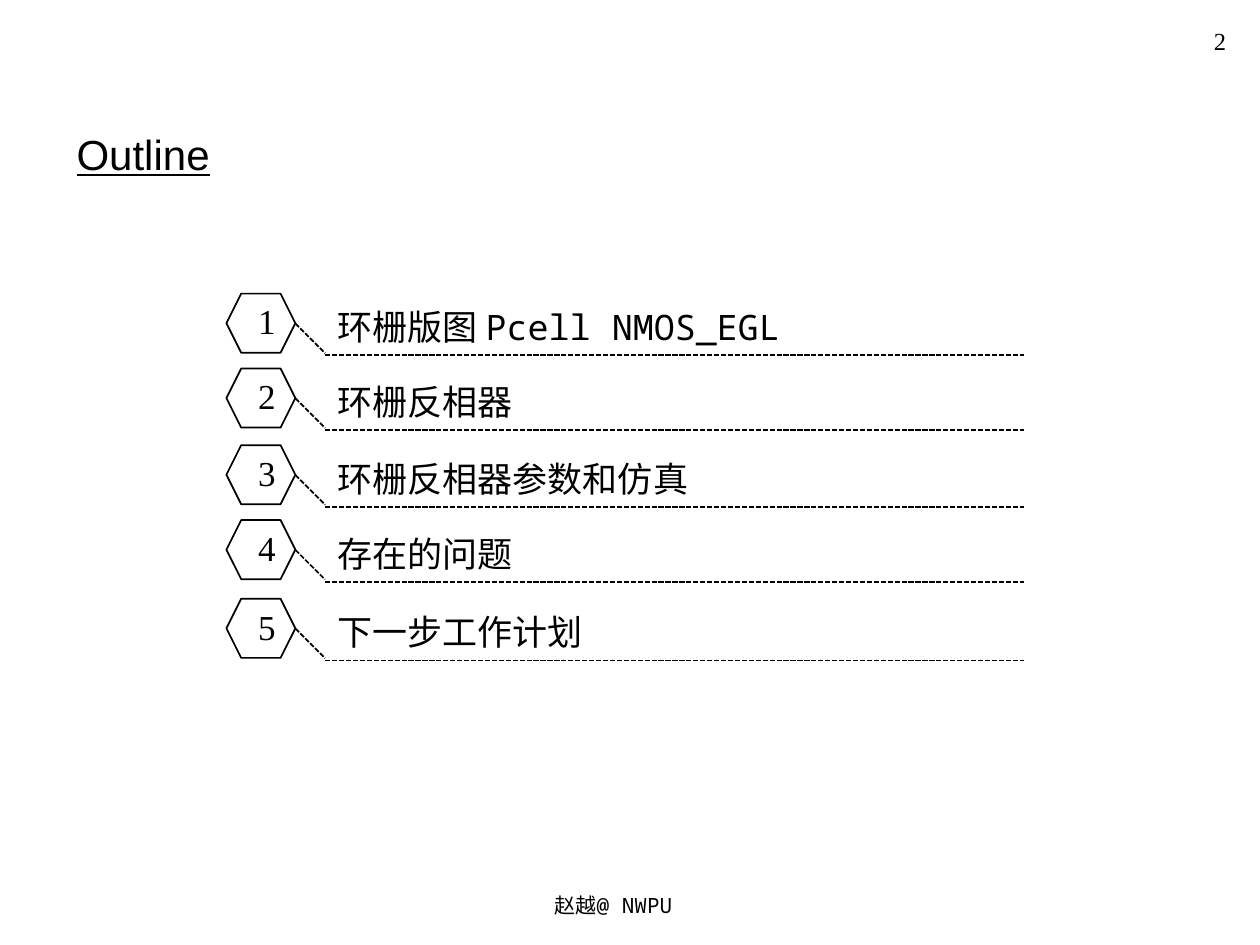
from dataclasses import dataclass

from lxml import etree
from pptx import Presentation
from pptx import util as u
from pptx.dml.color import RGBColor
from pptx.enum import dml, shapes, text
from pptx.oxml import ns
from pptx.slide import Slide

BLACK = RGBColor(0, 0, 0)
WHITE = RGBColor(255, 255, 255)
SERIF, SANS = "Times New Roman", "Arial"
MONO, CJK = "Noto Sans Mono", "Noto Sans CJK SC"
TOPICS = [
    (167.8, "环栅版图 Pcell NMOS_EGL", MONO),
    (210.6, "环栅反相器", MONO),
    (254.4, "环栅反相器参数和仿真", MONO),
    (297.2, "存在的问题", CJK),
    (342.2, "下一步工作计划", CJK),
]


def write(frame, words, *, font, size, align=text.PP_ALIGN.LEFT, underline=False):
    para = frame.paragraphs[0]
    para.alignment = align
    span = para.add_run()
    span.text = words
    span.font.name = font
    span.font.size = u.Pt(size)
    span.font.underline = underline
    span.font.color.rgb = BLACK
    latin = span.font._element.find(ns.qn("a:latin"))
    east_asian = etree.Element(ns.qn("a:ea"), typeface=CJK)
    latin.addnext(east_asian)


@dataclass
class OutlinePage:
    """Draws the elements of an outline on one page in a single line style."""

    page: Slide
    ink: RGBColor = BLACK
    weight: float = 1

    def label(self, left, top, width, height, words, anchor=text.MSO_ANCHOR.TOP, **style):
        box = self.page.shapes.add_textbox(*map(u.Pt, (left, top, width, height)))
        box.text_frame.word_wrap = True
        box.text_frame.vertical_anchor = anchor
        write(box.text_frame, words, **style)

    def hexagon(self, left, top, width, height):
        badge = self.page.shapes.add_shape(
            shapes.MSO_SHAPE.HEXAGON, *map(u.Pt, (left, top, width, height))
        )
        badge.adjustments[0] = 0.25
        badge.shadow.inherit = False
        badge.fill.background()
        badge.line.color.rgb = self.ink
        badge.line.width = u.Pt(self.weight)

    def dashed_line(self, *ends):
        rule = self.page.shapes.add_connector(
            shapes.MSO_CONNECTOR.STRAIGHT, *map(u.Pt, ends)
        )
        rule.line.color.rgb = self.ink
        rule.line.width = u.Pt(self.weight)
        rule.line.dash_style = dml.MSO_LINE.SQUARE_DOT
        etree.SubElement(rule._element.spPr, ns.qn("a:effectLst"))

    def topic(self, number, top, words, font):
        self.hexagon(129.4, top, 39.4, 33.8)
        self.label(140.4, top, 16.6, 31.7, str(number), font=SERIF, size=20,
                   align=text.PP_ALIGN.CENTER)
        self.label(185.8, top + 3.4, 399.6, 31.7, words, font=font, size=20)
        self.dashed_line(168.8, top + 17, 185.8, top + 34)
        self.dashed_line(185.8, top + 35.2, 585.4, top + 35.2)


def main():
    deck = Presentation()
    deck.slide_width, deck.slide_height = u.Pt(720), u.Pt(540)
    page = deck.slides.add_slide(deck.slide_layouts[6])
    page.background.fill.solid()
    page.background.fill.fore_color.rgb = WHITE
    outline = OutlinePage(page)
    outline.label(174.2, 506.2, 360, 21.6, "赵越@ NWPU ", font=MONO, size=12,
                  align=text.PP_ALIGN.CENTER)
    outline.label(641.5, 11.5, 66.2, 31.7, "2", font=SERIF, size=14,
                  align=text.PP_ALIGN.RIGHT)
    outline.label(36.7, 60.5, 640.8, 45.4, "Outline", anchor=text.MSO_ANCHOR.BOTTOM,
                  font=SANS, size=24, underline=True)
    for number, (top, words, font) in enumerate(TOPICS, start=1):
        outline.topic(number, top, words, font)
    deck.save("out.pptx")


if __name__ == "__main__":
    main()
